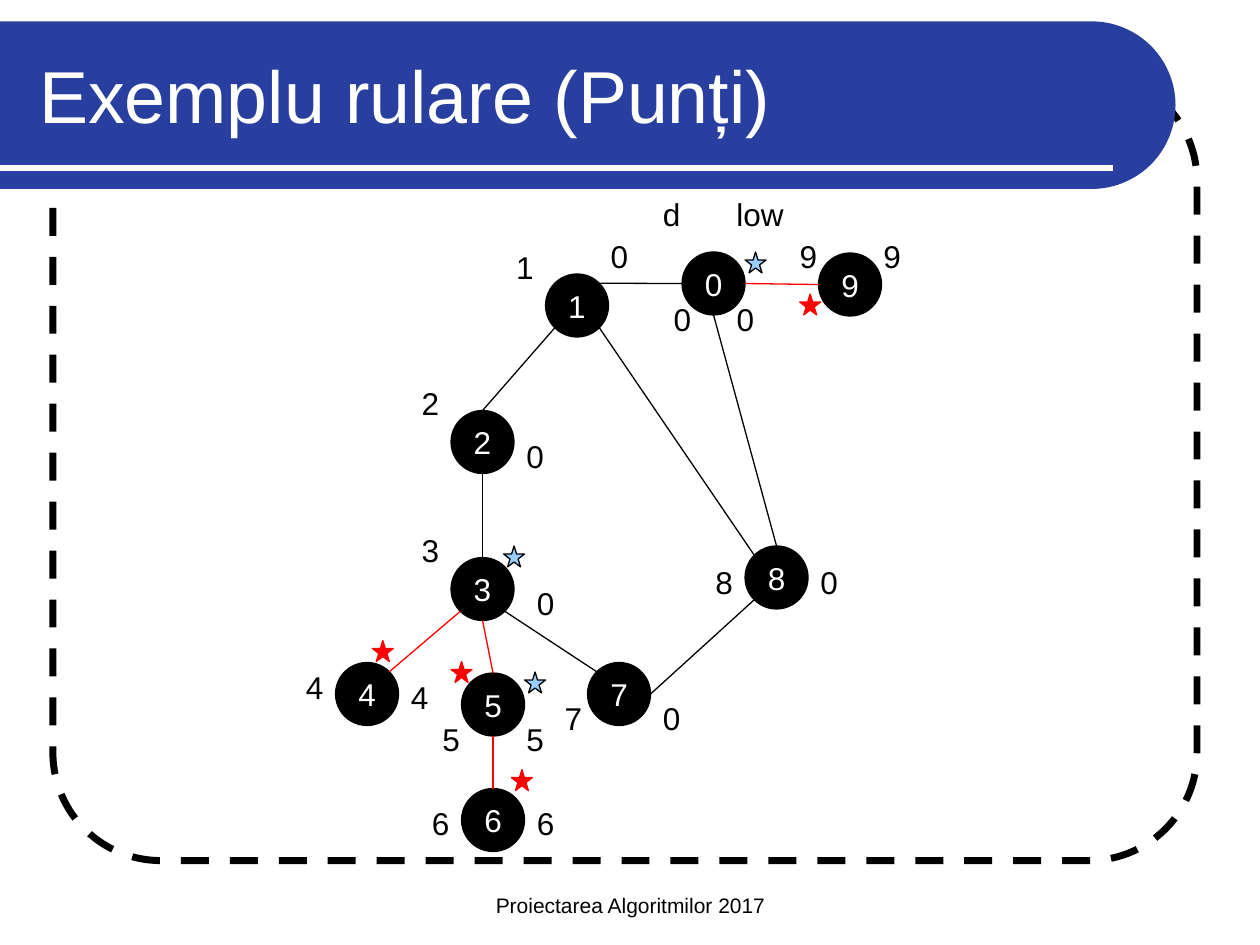
import math

import pptx
import pptx.dml.color
import pptx.enum.dml
import pptx.enum.shapes
import pptx.enum.text
import pptx.oxml.ns
import pptx.util
from lxml import etree

RGBColor = pptx.dml.color.RGBColor
BLACK = RGBColor(0x00, 0x00, 0x00)
WHITE = RGBColor(0xFF, 0xFF, 0xFF)
NAVY = RGBColor(0x28, 0x3F, 0xA0)
RED = RGBColor(0xFF, 0x00, 0x00)
SKY = RGBColor(0x99, 0xCC, 0xFF)

SHAPES = pptx.enum.shapes.MSO_SHAPE
ALIGN = pptx.enum.text.PP_ALIGN
ANCHOR = pptx.enum.text.MSO_ANCHOR

GRID = 1 / 12  # inches per column and row
NODE_SIZE, STAR_SIZE, LABEL_HEIGHT = 6, 2, 4.8  # in grid cells

# vertex: node (column, row), then d and low labels (column, row, width)
VERTICES = {
    0: ((37, 6), (35, 10, 4), (41, 10, 4)),
    1: ((24, 8.1), (20, 5, 4), (29, 4, 4)),
    2: ((15, 21.1), (11, 18, 4), (21, 23, 4)),
    3: ((15, 35.1), (11, 32, 4), (22, 37, 4)),
    4: ((4, 45.1), (0, 45, 4), (10, 46, 4)),
    5: ((16, 46.1), (13, 50, 3), (21, 50, 3)),
    6: ((16, 57.1), (12, 58, 3), (22, 58, 4)),
    7: ((28, 45.1), (25, 48, 2), (34, 48, 4)),
    8: ((43, 34), (39, 35, 3), (49, 35, 4)),
    9: ((50, 6.1), (47, 4, 3), (55, 4, 3)),
}
LOW = {4: 4, 5: 5, 6: 6, 9: 9}  # every other vertex has low 0

# Side of a node in degrees, clockwise from the right
SIDES = {"E": 0, "SE": 45, "S": 90, "SW": 135, "W": 180, "NW": 225, "N": 270, "NE": 315}
EDGES = [
    (1, "SE", 8, "NW"), (0, "S", 8, "N"), (7, "E", 8, "SW"), (0, "W", 1, "NE"),
    (1, "SW", 2, "N"), (2, "S", 3, "N"), (3, "SE", 7, "NW"),
]
BRIDGES = [(9, "W", 0, "E"), (3, "SW", 4, "NE"), (3, "S", 5, "N"), (5, "S", 6, "N")]
PARENT_STARS = [(43, 6), (20, 34), (22, 46)]
CHILD_STARS = [(7.5, 43), (20.75, 55.3), (15, 45), (48.2, 10)]


def inches(*lengths):
    return [pptx.util.Inches(length) for length in lengths]


def paint(shape, fill, line, width=0.75):
    shape.shadow.inherit = False
    if fill is None:
        shape.fill.background()
    else:
        shape.fill.solid()
        shape.fill.fore_color.rgb = fill
    if line is None:
        shape.line.fill.background()
    else:
        shape.line.color.rgb = line
        shape.line.width = pptx.util.Pt(width)


def write(shape, text, size, color, align=ALIGN.LEFT, anchor=ANCHOR.TOP, wrap=True):
    frame = shape.text_frame
    frame.word_wrap = wrap
    frame.vertical_anchor = anchor
    frame.text = text
    paragraph = frame.paragraphs[0]
    paragraph.alignment = align
    font = paragraph.runs[0].font
    font.name, font.size, font.color.rgb = "Arial", pptx.util.Pt(size), color


def add_line(slide, start, end, color, width=0.75):
    line = slide.shapes.add_connector(
        pptx.enum.shapes.MSO_CONNECTOR.STRAIGHT, *inches(*start, *end))
    line.line.color.rgb = color
    line.line.width = pptx.util.Pt(width)
    etree.SubElement(line.element.spPr, pptx.oxml.ns.qn("a:effectLst"))


def add_frame(slide, box):
    border = slide.shapes.add_shape(SHAPES.ROUNDED_RECTANGLE, *inches(*box))
    border.adjustments[0] = 0.137
    paint(border, None, BLACK, 4)
    border.line.dash_style = pptx.enum.dml.MSO_LINE.DASH


def add_banner(slide, box):
    left, top, width, height = box
    radius = height / 2
    centre_x, centre_y = left + width - radius, top + radius
    outline = [(left, top)]
    for degrees in range(-90, 91, 3):
        angle = math.radians(degrees)
        outline.append((centre_x + radius * math.cos(angle),
                        centre_y + radius * math.sin(angle)))
    outline.append((left, top + height))
    # Outline points are whole EMU, since a freeform rounds its coordinates
    points = [inches(*point) for point in outline]
    builder = slide.shapes.build_freeform(*points[0])
    builder.add_line_segments(points[1:], close=True)
    paint(builder.convert_to_shape(), NAVY, None)
    rule_y = top + height * 0.875
    add_line(slide, (left, rule_y), (left + width - 0.5, rule_y), WHITE, 3)


def add_title(slide, box):
    title = slide.shapes.title
    title.left, title.top, title.width, title.height = inches(*box)
    write(title, "Exemplu rulare (Punți)", 42, WHITE, anchor=ANCHOR.MIDDLE)
    # Bring the title in front of the banner
    title.element.getparent().append(title.element)


def add_footer(slide, box):
    footer = slide.shapes.add_textbox(*inches(*box))
    write(footer, "Proiectarea Algoritmilor 2017", 12, BLACK, ALIGN.CENTER, ANCHOR.BOTTOM)


def add_graph(slide, left, top):
    def cells(column, row, width, height):
        return inches(left + column * GRID, top + row * GRID, width * GRID, height * GRID)

    def add_label(text, column, row, width):
        label = slide.shapes.add_textbox(*cells(column, row, width, LABEL_HEIGHT))
        write(label, text, 18, BLACK)

    def side_point(vertex, side):
        column, row = VERTICES[vertex][0]
        radius, angle = NODE_SIZE / 2, math.radians(SIDES[side])
        return (left + (column + radius + radius * math.cos(angle)) * GRID,
                top + (row + radius + radius * math.sin(angle)) * GRID)

    # Nodes
    for vertex, (position, _, _) in VERTICES.items():
        node = slide.shapes.add_shape(
            SHAPES.OVAL, *cells(*position, NODE_SIZE, NODE_SIZE))
        paint(node, BLACK, BLACK)
        write(node, str(vertex), 18, WHITE, ALIGN.CENTER, ANCHOR.MIDDLE, wrap=False)

    # Edges, with bridges in red
    for edges, color in ((EDGES, BLACK), (BRIDGES, RED)):
        for start, start_side, end, end_side in edges:
            add_line(slide, side_point(start, start_side), side_point(end, end_side), color)

    # Headings and values of d and low
    add_label("d", 34, 0, 4)
    add_label("low", 41, 0, 7)
    for vertex, (_, d_place, low_place) in VERTICES.items():
        add_label(str(vertex), *d_place)
        add_label(str(LOW.get(vertex, 0)), *low_place)

    # Stars at the two ends of the bridges
    for places, fill, line in ((PARENT_STARS, SKY, BLACK), (CHILD_STARS, RED, RED)):
        for place in places:
            star = slide.shapes.add_shape(
                SHAPES.STAR_5_POINT, *cells(*place, STAR_SIZE, STAR_SIZE))
            paint(star, fill, line)


def main():
    deck = pptx.Presentation()
    deck.slide_width, deck.slide_height = inches(10, 7.5)
    slide = deck.slides.add_slide(deck.slide_layouts[5])
    add_frame(slide, (0.42, 0.58, 9.08, 6.25))
    add_banner(slide, (0, 0.17, 9.33, 1.33))
    add_footer(slide, (3.42, 6.83, 3.17, 0.5))
    add_title(slide, (0.21, 0.25, 8.77, 1))
    add_graph(slide, 2.33, 1.5)
    deck.save("out.pptx")


if __name__ == "__main__":
    main()
